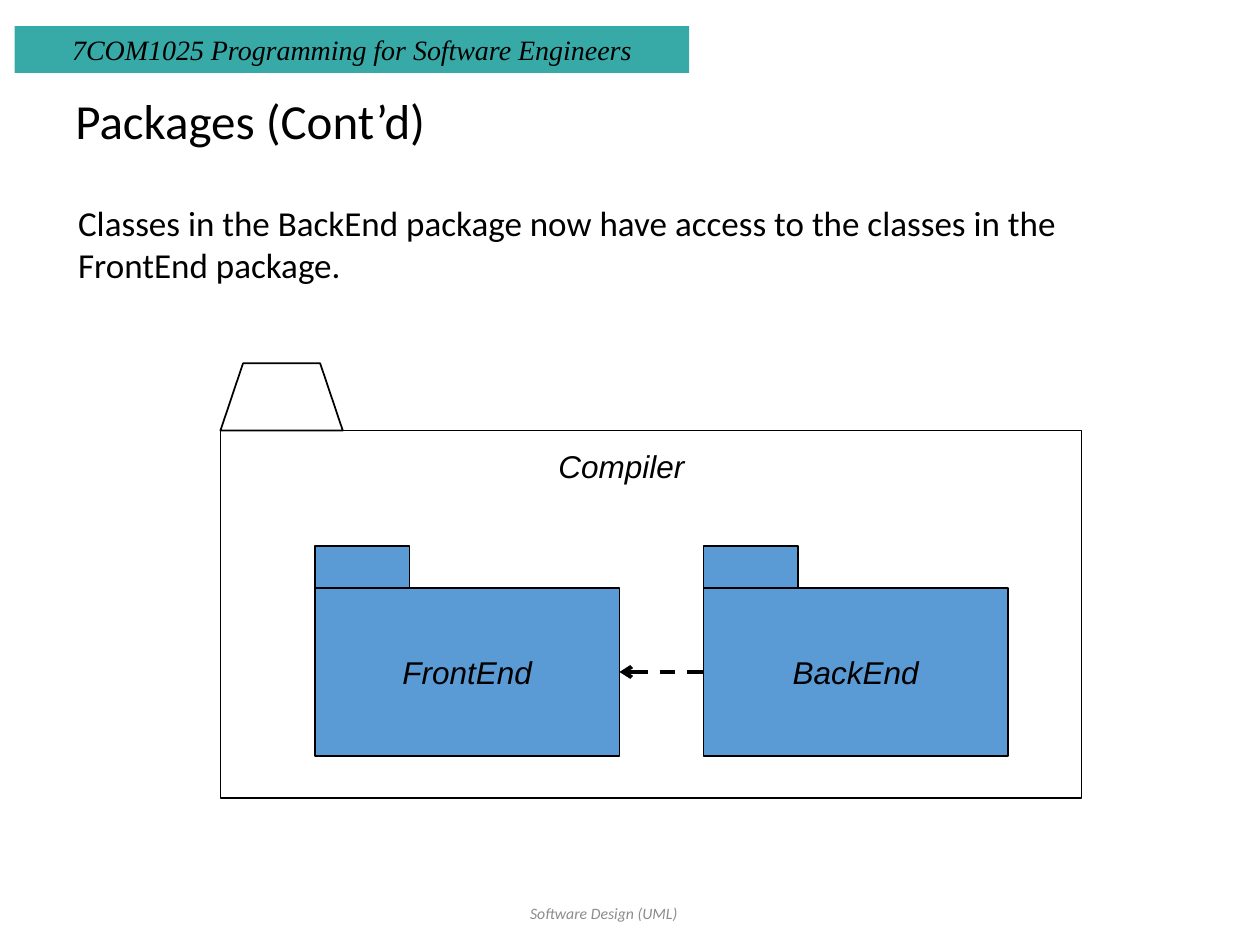
import pptx
import pptx.util
import pptx.dml.color
import pptx.enum.dml
import pptx.enum.shapes
import pptx.enum.text
import pptx.oxml

prs = pptx.Presentation()
prs.slide_width = pptx.util.Inches(10)
prs.slide_height = pptx.util.Inches(7.5)
s = prs.slides.add_slide(prs.slide_layouts[6])

# Grid of 120 columns by 90 rows
U = prs.slide_width / 120
RECT = pptx.enum.shapes.MSO_SHAPE.RECTANGLE
LEFT = pptx.enum.text.PP_ALIGN.LEFT
CENTER = pptx.enum.text.PP_ALIGN.CENTER
TOP = pptx.enum.text.MSO_ANCHOR.TOP
MIDDLE = pptx.enum.text.MSO_ANCHOR.MIDDLE


def paint(sp, fill=None, line=None, width=0.75):
    sp.shadow.inherit = False
    if fill:
        sp.fill.solid()
        sp.fill.fore_color.rgb = pptx.dml.color.RGBColor.from_string(fill)
    else:
        sp.fill.background()
    if line:
        sp.line.color.rgb = pptx.dml.color.RGBColor.from_string(line)
        sp.line.width = pptx.util.Pt(width)
    else:
        sp.line.fill.background()


def write(sp, text, size, font, color="000000", italic=False,
          align=LEFT, anchor=TOP, wrap=True):
    tf = sp.text_frame
    tf.word_wrap = wrap
    tf.vertical_anchor = anchor
    p = tf.paragraphs[0]
    p.alignment = align
    r = p.add_run()
    r.text = text
    r.font.size = pptx.util.Pt(size)
    r.font.name = font
    r.font.italic = italic
    r.font.color.rgb = pptx.dml.color.RGBColor.from_string(color)
    return p


# Course banner
sp = s.shapes.add_shape(RECT, *[int(v * U) for v in (1.4, 2.5, 64.25, 4.45)])
paint(sp, "37AAA7")
write(sp, "7COM1025 Programming for Software Engineers", 16,
      "Times New Roman", italic=True, align=CENTER)

# Title, body and footer
sp = s.shapes.add_textbox(*[int(v * U) for v in (6, 8.25, 103, 7)])
p = write(sp, "Packages (Cont’d)", 28, "Calibri", anchor=MIDDLE)
p.line_spacing = 0.9
sp = s.shapes.add_textbox(*[int(v * U) for v in (6.25, 18.6, 106, 9.25)])
write(sp, "Classes in the BackEnd package now have access to the classes "
      "in the FrontEnd package.", 20, "Calibri")
sp = s.shapes.add_textbox(*[int(v * U) for v in (31, 84, 53, 6)])
write(sp, "Software Design (UML)", 9, "Calibri", "8C8C8C", True, CENTER, MIDDLE)

# Compiler package with its tab
sp = s.shapes.add_shape(RECT, *[int(v * U) for v in (21, 41, 82, 35)])
paint(sp, line="000000")
sp = s.shapes.add_textbox(*[int(v * U) for v in (52, 42, 25, 6)])
write(sp, "Compiler", 18, "Arial", italic=True)
fb = s.shapes.build_freeform(int(21 * U), int(41 * U))
fb.add_line_segments([(int(x * U), int(y * U)) for x, y in
                      ((23.15, 34.6), (30.5, 34.6), (32.65, 41))], close=True)
paint(fb.convert_to_shape(), line="000000", width=1)

# Inner packages
for name, col in (("FrontEnd", 30), ("BackEnd", 67)):
    sp = s.shapes.add_shape(RECT, *[int(v * U) for v in (col, 56, 29, 16)])
    paint(sp, "5B9BD5", "000000")
    write(sp, name, 18, "Arial", italic=True, align=CENTER, anchor=MIDDLE,
          wrap=False)
    sp = s.shapes.add_shape(RECT, *[int(v * U) for v in (col, 52, 9, 4)])
    paint(sp, "5B9BD5", "000000")

# Dependency arrow from BackEnd to FrontEnd
cx = s.shapes.add_connector(pptx.enum.shapes.MSO_CONNECTOR.STRAIGHT,
                            *[int(v * U) for v in (59, 64, 67, 64)])
cx.line.color.rgb = pptx.dml.color.RGBColor.from_string("000000")
cx.line.width = pptx.util.Pt(2.25)
cx.line.dash_style = pptx.enum.dml.MSO_LINE.DASH
NS = 'xmlns:a="http://schemas.openxmlformats.org/drawingml/2006/main"'
cx.line._get_or_add_ln().append(
    pptx.oxml.parse_xml(f'<a:headEnd {NS} type="arrow"/>'))
cx._element.spPr.append(pptx.oxml.parse_xml(f"<a:effectLst {NS}/>"))

prs.save("out.pptx")
